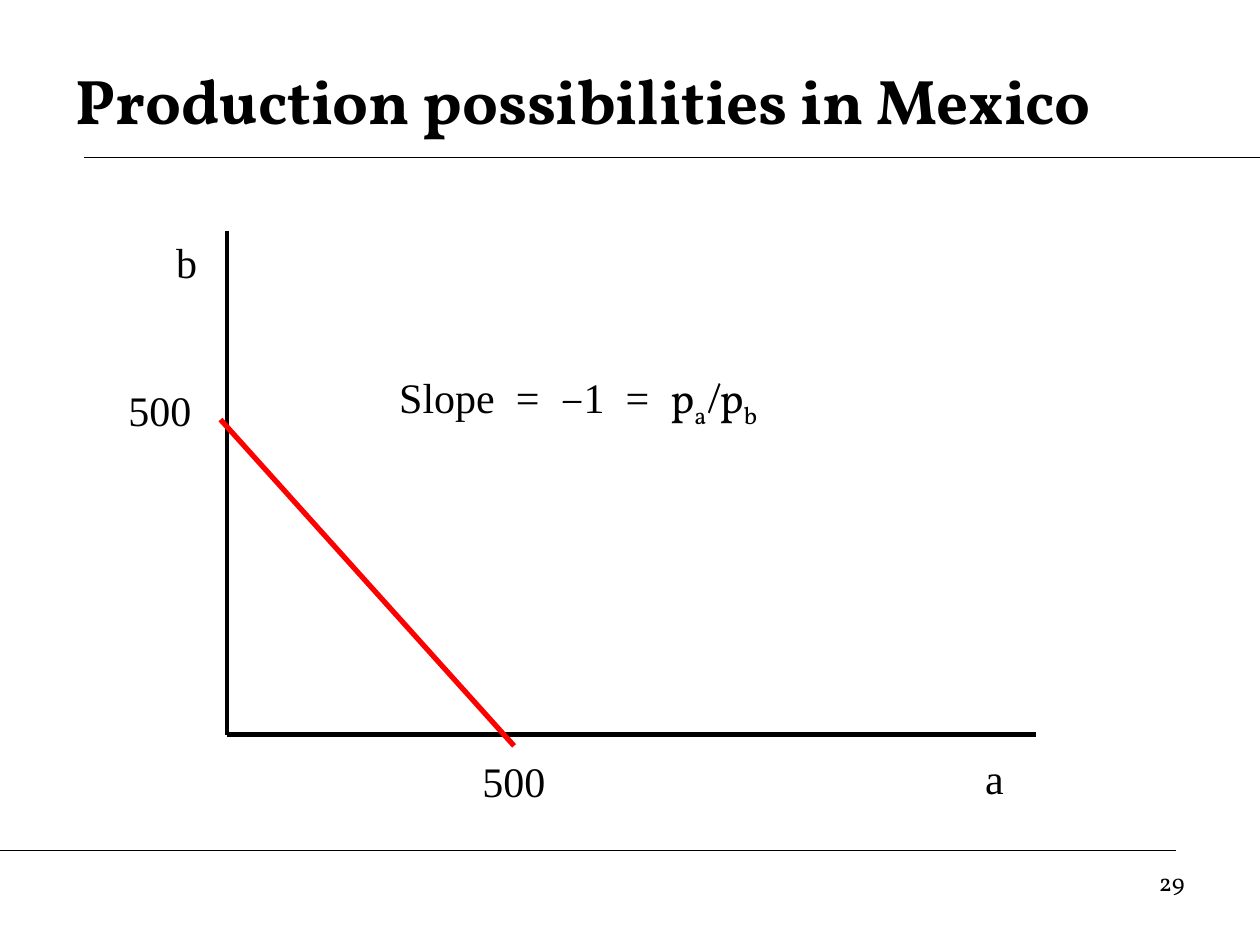
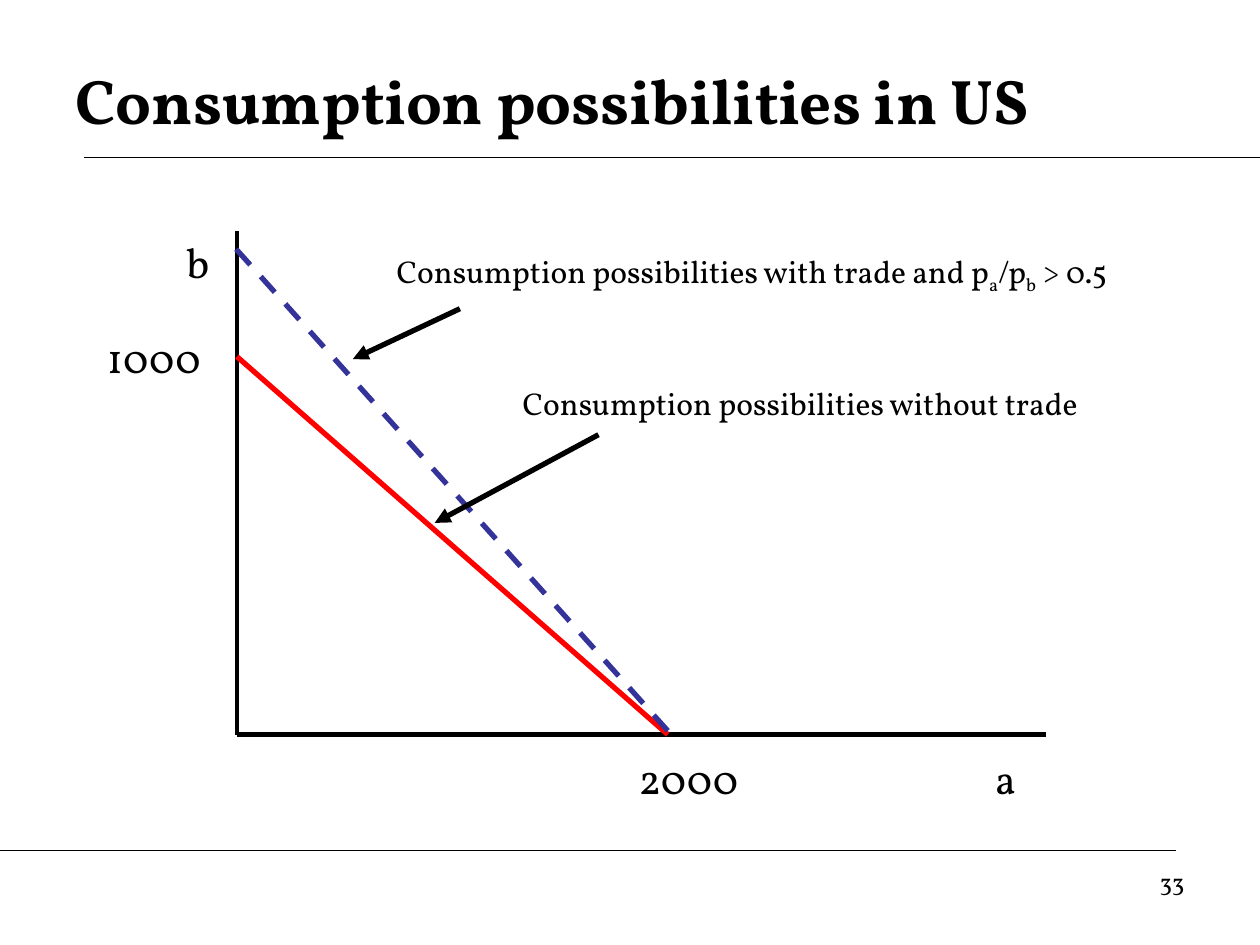
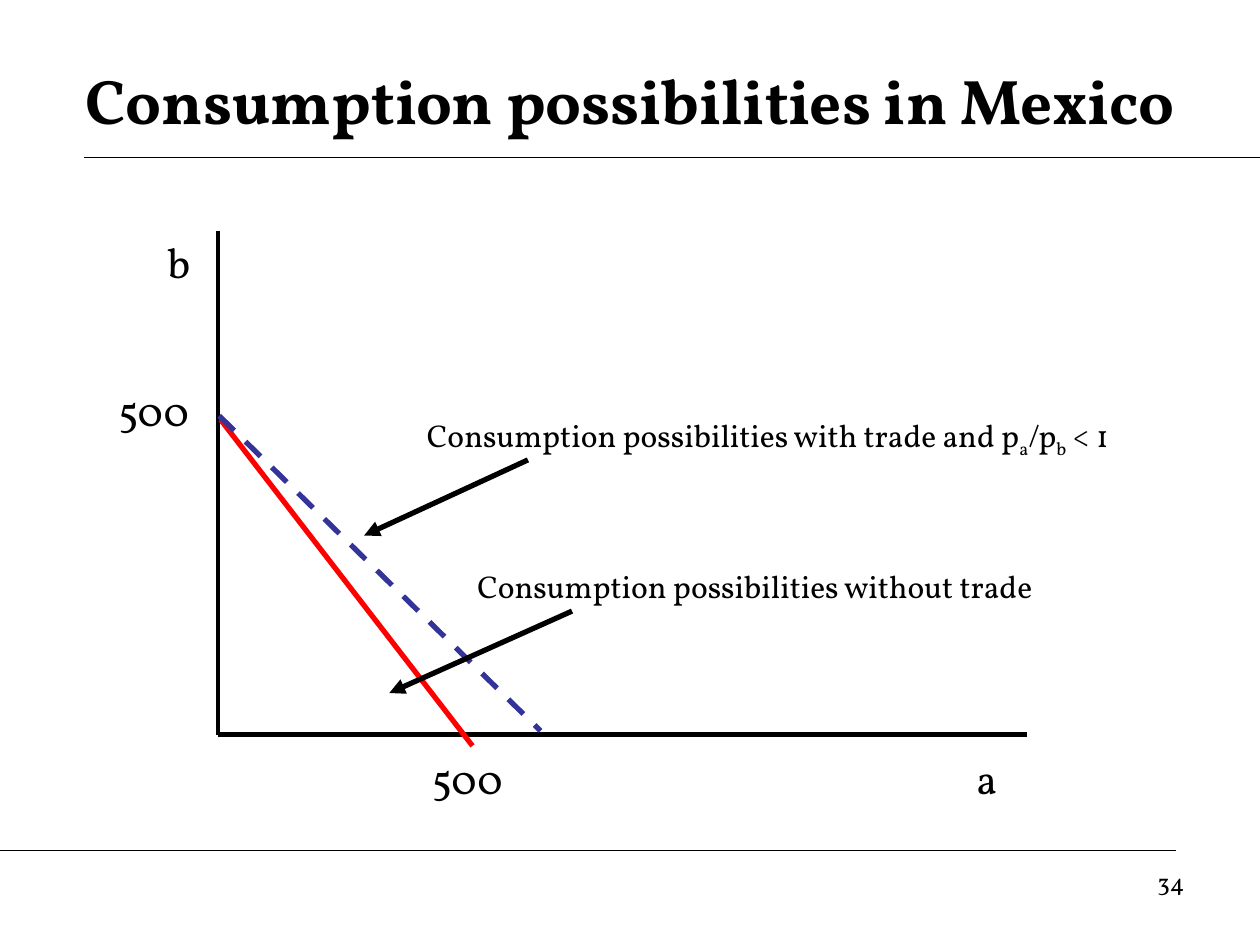
"""Build three slides on production and consumption possibilities with trade."""
from dataclasses import dataclass

from pptx import Presentation
from pptx.dml.color import RGBColor
from pptx.enum.dml import MSO_LINE
from pptx.enum.shapes import MSO_CONNECTOR
from pptx.enum.text import MSO_ANCHOR, MSO_AUTO_SIZE, PP_ALIGN
from pptx.oxml.ns import qn
from pptx.util import Inches, Pt
from lxml import etree

STRAIGHT = MSO_CONNECTOR.STRAIGHT
DASH = MSO_LINE.DASH
TOP, MIDDLE = MSO_ANCHOR.TOP, MSO_ANCHOR.MIDDLE
LEFT, CENTER, RIGHT = PP_ALIGN.LEFT, PP_ALIGN.CENTER, PP_ALIGN.RIGHT
FIT = MSO_AUTO_SIZE.SHAPE_TO_FIT_TEXT


@dataclass(frozen=True)
class Theme:
    ink: str = "000000"
    no_trade: str = "FF0000"
    trade: str = "333399"
    serif: str = "Vollkorn"
    times: str = "Times New Roman"
    title: int = 36
    label: int = 24
    note: int = 18
    number: int = 14
    rule: float = 0.75
    axis: float = 2.25
    bold_line: float = 3
    subscript: int = -25


T = Theme()

AXIS_TOP, AXIS_BASE, AXIS_LENGTH = 1.83, 5.83, 6.42
RULES = [((0.67, 1.25), (10, 1.25)), ((0, 6.75), (9.33, 6.75))]
TITLE_BOX = (0.5, 0.33, 9, 0.92)
NUMBER_BOX = (7.17, 6.83, 2.33, 0.52)
X_VALUE_SIZE, Y_VALUE_SIZE = (1.18, 0.5), (1.05, 0.5)

PRICE_RATIO = [("p",), ("a", T.serif, T.subscript), ("/p",), ("b", T.serif, T.subscript)]
SLOPE = [("Slope  =  ", T.times), ("−",), ("1  =  ", T.times), *PRICE_RATIO]
WITH_TRADE = "Consumption possibilities with trade and "
WITHOUT_TRADE = [("Consumption possibilities without trade",)]

SLIDES = [
    dict(title="Production possibilities in Mexico", align=LEFT, number="29",
         font=T.times, origin=1.8,
         no_trade=((1.75, 3.33), (4.08, 5.92)), trade=None,
         x_value=("500", 3.73, 5.95), y_value=("500", 0.92, 3),
         notes=[(SLOPE, (3.07, 2.9, 3.5, 0.5), T.label)], arrows=[]),
    dict(title="Consumption possibilities in US", align=LEFT, number="33",
         font=T.serif, origin=1.88,
         no_trade=((1.88, 2.83), (5.3, 5.83)), trade=((5.3, 5.8), (1.85, 1.95)),
         x_value=("2000", 4.97, 5.92), y_value=("1000", 0.75, 2.58),
         notes=[([(WITH_TRADE,), *PRICE_RATIO, (" > 0.5",)], (3.05, 1.95, 6.12, 0.86), T.note),
                (WITHOUT_TRADE, (4.05, 3, 4.9, 0.85), T.note)],
         arrows=[((4.75, 3.45), (3.45, 4.15)), ((3.65, 2.45), (2.8, 2.85))]),
    dict(title="Consumption possibilities in Mexico", align=CENTER, number="34",
         font=T.serif, origin=1.73,
         no_trade=((1.75, 3.33), (3.75, 5.92)), trade=((1.74, 3.3), (4.29, 5.8)),
         x_value=("500", 3.33, 5.92), y_value=("500", 0.84, 3),
         notes=[([(WITH_TRADE,), *PRICE_RATIO, (" < 1",)], (3.29, 3.25, 6.38, 0.86), T.note),
                (WITHOUT_TRADE, (3.69, 4.45, 4.9, 0.85), T.note)],
         arrows=[((4.54, 4.85), (3.09, 5.5)), ((4.19, 3.65), (2.89, 4.25))]),
]


def add_line(s, ends, width, color=T.ink, dash=None, arrow=False):
    (x1, y1), (x2, y2) = ends
    sp = s.shapes.add_connector(STRAIGHT, Inches(x1), Inches(y1), Inches(x2), Inches(y2))
    sp.line.width = Pt(width)
    sp.line.color.rgb = RGBColor.from_string(color)
    if dash:
        sp.line.dash_style = dash
    props = sp._element.spPr
    if arrow:
        etree.SubElement(props.find(qn("a:ln")), qn("a:tailEnd"), type="triangle")
    etree.SubElement(props, qn("a:effectLst"))


def add_text(s, runs, box, size, align=LEFT, anchor=TOP, bold=False, fit=True):
    sp = s.shapes.add_textbox(*map(Inches, box))
    tf = sp.text_frame
    tf.word_wrap = True
    tf.vertical_anchor = anchor
    if fit:
        tf.auto_size = FIT
    p = tf.paragraphs[0]
    p.alignment = align
    for text, *style in runs:
        r = p.add_run()
        r.text = text
        r.font.name = style[0] if style else T.serif
        r.font.size = Pt(size)
        r.font.bold = bold
        r.font.color.rgb = RGBColor.from_string(T.ink)
        if len(style) > 1:
            r._r.get_or_add_rPr().set("baseline", str(style[1] * 1000))


def add_frame(s, d):
    for ends in RULES:
        add_line(s, ends, T.rule)
    add_text(s, [(d["title"],)], TITLE_BOX, T.title, d["align"], MIDDLE, bold=True, fit=False)
    add_text(s, [(d["number"],)], NUMBER_BOX, T.number, RIGHT, fit=False)


def add_graph(s, d):
    x = d["origin"]
    corner = (x, AXIS_BASE)
    add_line(s, ((x, AXIS_TOP), corner), T.axis)
    add_line(s, (corner, (x + AXIS_LENGTH, AXIS_BASE)), T.bold_line)
    add_line(s, d["no_trade"], T.bold_line, T.no_trade)
    if d["trade"]:
        add_line(s, d["trade"], T.bold_line, T.trade, DASH)
    x_text, *x_place = d["x_value"]
    y_text, *y_place = d["y_value"]
    labels = [("b", (x - 0.5, AXIS_TOP, 0.42, 0.5)),
              ("a", (x + AXIS_LENGTH - 0.5, 5.92, 0.5, 0.5)),
              (x_text, (*x_place, *X_VALUE_SIZE)),
              (y_text, (*y_place, *Y_VALUE_SIZE))]
    for text, box in labels:
        add_text(s, [(text, d["font"])], box, T.label)
    for runs, box, size in d["notes"]:
        add_text(s, runs, box, size)
    for ends in d["arrows"]:
        add_line(s, ends, T.bold_line, arrow=True)


def main():
    prs = Presentation()
    prs.slide_width, prs.slide_height = Inches(10), Inches(7.5)
    for d in SLIDES:
        s = prs.slides.add_slide(prs.slide_layouts[6])
        add_frame(s, d)
        add_graph(s, d)
    prs.save("out.pptx")


if __name__ == "__main__":
    main()
